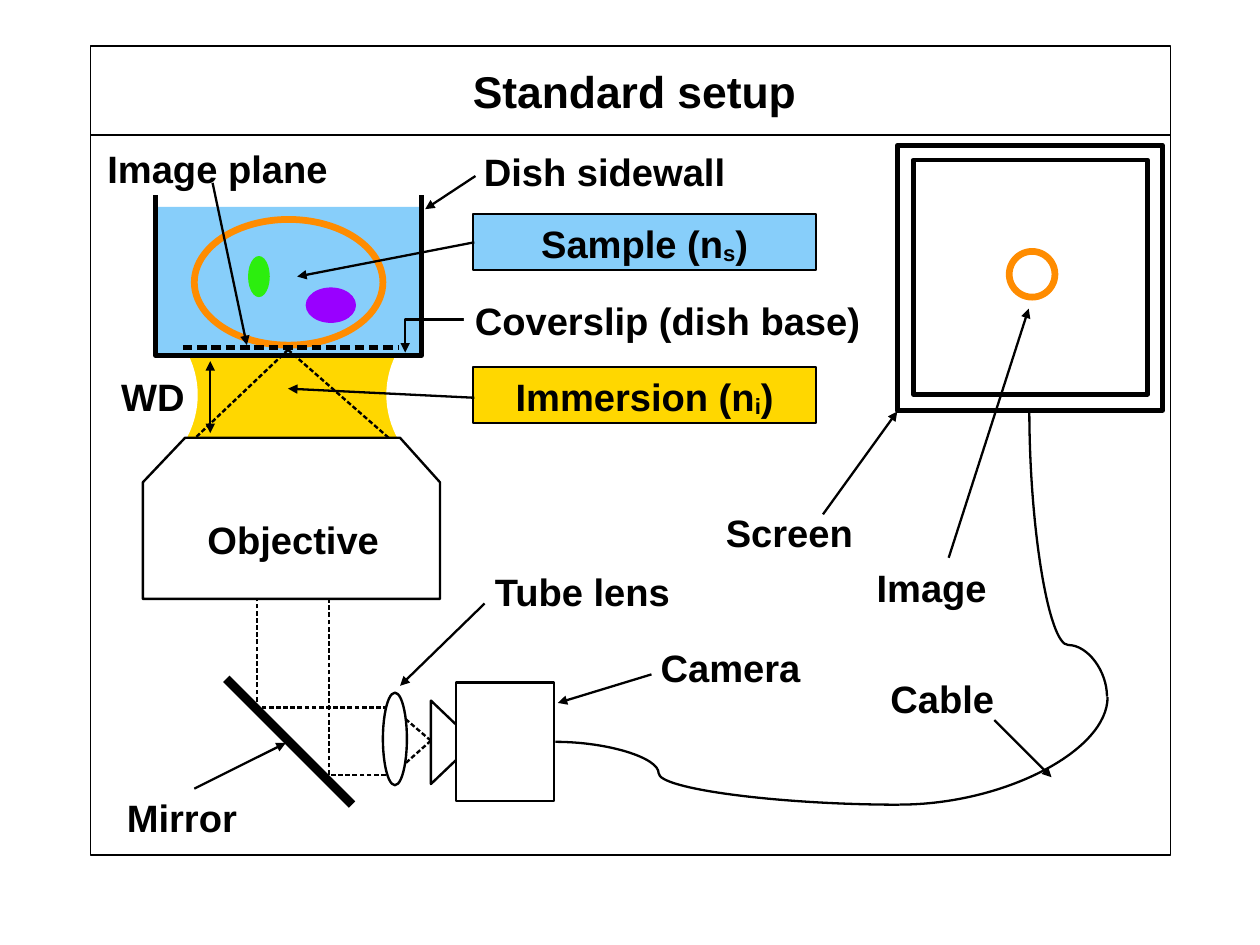
from lxml import etree
from pptx import Presentation
from pptx import util as u
from pptx.dml.color import RGBColor
from pptx.enum import shapes, text
from pptx.oxml.ns import qn

# One grid column or row is one inch; positions are (column, row).
SLIDE_WIDTH_CM, SLIDE_HEIGHT_CM = 28, 21
FONT, LABEL_SIZE, TITLE_SIZE = "Arial", 24, 28
THIN, NORMAL, DISH_WALL, SCREEN_EDGE, CELL_EDGE, MIRROR_BAR = 1.45, 1.5, 2.89, 3, 4.25, 5.67
COLORS = {"ink": "000000", "paper": "FFFFFF", "water": "87CEFA", "oil": "FFD700",
          "cell": "FF8C00", "green": "2CEE0E", "violet": "9900FF"}
KIND = shapes.MSO_SHAPE
RECT, OVAL = KIND.RECTANGLE, KIND.OVAL

# Preset, (left, top, width, height), fill, line colour, line width
IMMERSION = [
    (RECT, (1.64, 2.95, 1.86, 0.95), "oil", None, 0),
    (OVAL, (0.11, 2.66, 1.62, 1.59), "paper", None, 0),
    (OVAL, (3.38, 2.66, 1.62, 1.59), "paper", None, 0),
    (RECT, (1.36, 1.81, 2.32, 1.28), "water", None, 0),
]
FRAME_AND_SCREEN = [
    (RECT, (0.79, 0.4, 9.45, 7.08), None, "ink", 0.99),
    (RECT, (7.99, 1.4, 2.05, 2.05), None, "ink", 2.83),
    (RECT, (7.85, 1.27, 2.32, 2.32), None, "ink", SCREEN_EDGE),
    (OVAL, (8.83, 2.2, 0.4, 0.4), None, "cell", CELL_EDGE),
]
SAMPLE_CELL = [
    (OVAL, (2.17, 2.24, 0.19, 0.36), "green", None, 0),
    (OVAL, (1.7, 1.92, 1.65, 1.1), None, "cell", CELL_EDGE),
    (OVAL, (2.68, 2.52, 0.43, 0.3), "violet", "violet", 0),
]
CAMERA_BODY = (RECT, (3.99, 5.97, 0.86, 1.04), None, "ink", NORMAL)
TUBE_LENS = (OVAL, (3.35, 6.06, 0.21, 0.81), "paper", "ink", NORMAL)
COVERSLIP_MASK = (RECT, (4.06, 2.46, 0.3, 0.48), "paper", None, 0)

# Corner points
DISH = [(1.36, 1.71), (1.36, 3.11), (3.69, 3.11), (3.69, 1.71)]
OBJECTIVE = [(1.62, 3.83), (3.5, 3.83), (3.85, 4.22), (3.85, 5.24), (1.25, 5.24), (1.25, 4.22)]
CAMERA_CONE = [(3.99, 6.34), (3.77, 6.13), (3.77, 6.86), (3.99, 6.65)]

# Start, end
TITLE_RULE = ((0.79, 1.18), (10.24, 1.18))
MIRROR = ((1.98, 5.94), (3.08, 7.04))
IMAGE_PLANE = ((1.6, 3.04), (3.48, 3.04))
FOCUS, SENSOR = (2.52, 3.06), (3.77, 6.48)
LOWER_RAYS = [((3.5, 6.78), (2.88, 6.78)), ((3.52, 6.19), (2.21, 6.19)),
              ((2.25, 6.2), (2.25, 4.55)), ((2.88, 6.84), (2.88, 4.55))]
UPPER_RAYS = [(FOCUS, (1.71, 3.83)), (FOCUS, (3.4, 3.83)),
              (SENSOR, (3.5, 6.72)), (SENSOR, (3.5, 6.25))]
WORKING_DISTANCE = ((1.84, 3.16), (1.84, 3.79))
POINTERS = [
    ((4.15, 2.12), (2.6, 2.42)), ((4.15, 3.48), (2.52, 3.4)), ((1.86, 1.6), (2.16, 3.02)),
    ((7.2, 4.5), (7.85, 3.6)), ((8.3, 4.88), (9, 2.7)), ((1.7, 6.9), (2.5, 6.5)),
    ((4.24, 5.28), (3.5, 6)), ((5.7, 5.9), (4.88, 6.15)), ((8.7, 6.3), (9.2, 6.8)),
    ((4.16, 1.54), (3.72, 1.83)),
]

# Start, end before turning, preset, turn in degrees, share of the bend
CABLE = [
    ((4.86, 6.49), (7.87, 7.04), "curvedConnector3", 0, 0.3),
    ((8.09, 5.18), (10.6, 4.5), "curvedConnector3", 270, 0.18),
    ((7.87, 7.04), (9.69, 6.1), "curvedConnector2", 0, None),
]
COVERSLIP_POINTER = ((3.52, 2.51), (4.12, 3.06), "bentConnector3", 90, 0.52)

# Text, (left, top, width, height), centred
LABELS = [
    ("Objective", (0.89, 4.46, 3.35, 0.84), True),
    ("Tube lens", (4.22, 4.91, 2.16, 0.49), False),
    ("Image plane", (0.83, 1.21, 2.17, 0.49), False),
    ("Screen", (6.24, 4.4, 1.4, 0.49), False),
    ("Image", (7.56, 4.88, 1.26, 0.5), False),
    ("Mirror", (1, 6.89, 1.26, 0.5), False),
    ("Camera", (5.67, 5.58, 2.16, 0.49), False),
    ("Cable", (7.68, 5.85, 1.32, 0.49), False),
    ("Dish sidewall", (4.06, 1.24, 2.46, 0.49), True),
    ("Coverslip (dish base)", (4.02, 2.54, 3.64, 0.56), True),
    ("WD", (0.95, 3.21, 0.96, 0.49), False),
]
TITLE = ("Standard setup", (1.4, 0.5, 8.3, 0.84), True)
# Name, index of n, row, fill
MEDIA_KEYS = [("Sample", "s", 1.87, "water"), ("Immersion", "i", 3.21, "oil")]

deck = Presentation()
deck.slide_width, deck.slide_height = u.Cm(SLIDE_WIDTH_CM), u.Cm(SLIDE_HEIGHT_CM)
canvas = deck.slides.add_slide(deck.slide_layouts[6]).shapes


def grid(*cells):
    """Turn grid positions into slide lengths."""
    return [u.Inches(cell) for cell in cells]


def color(name):
    """Look up a named colour."""
    return RGBColor.from_string(COLORS[name])


def paint(part, fill, edge, width):
    """Give an outline its fill and line, without a shadow."""
    part.shadow.inherit = False
    if fill:
        part.fill.solid()
        part.fill.fore_color.rgb = color(fill)
    else:
        part.fill.background()
    if edge:
        part.line.color.rgb = color(edge)
        part.line.width = u.Pt(width)
    else:
        part.line.fill.background()
    return part


def add_part(preset, place, fill, edge, width):
    """Draw one preset shape."""
    return paint(canvas.add_shape(preset, *grid(*place)), fill, edge, width)


def add_outline(points, fill, width, close):
    """Draw a shape through its corner points."""
    builder = canvas.build_freeform(*grid(*points[0]), scale=1.0)
    builder.add_line_segments([grid(*point) for point in points[1:]], close=close)
    return paint(builder.convert_to_shape(), fill, "ink", width)


def add_line(start, end, width=NORMAL, dashed=False, heads=(),
             kind=shapes.MSO_CONNECTOR.STRAIGHT):
    """Draw a line, with arrowheads at the ends named in heads."""
    line = canvas.add_connector(kind, *grid(*start, *end))
    line.line.color.rgb = color("ink")
    line.line.width = u.Pt(width)
    stroke = line.line._get_or_add_ln()
    if dashed:
        dashes = etree.SubElement(stroke, qn("a:custDash"))
        etree.SubElement(dashes, qn("a:ds"), d="200000", sp="100000")
    for head in heads:
        etree.SubElement(stroke, qn("a:" + head), type="triangle")
    etree.SubElement(line._element.spPr, qn("a:effectLst"))
    return line


def add_bend(start, end, preset, turn, share, heads=()):
    """Draw a curved or bent connector, turned about its middle."""
    bend = add_line(start, end, THIN, heads=heads, kind=shapes.MSO_CONNECTOR.CURVE)
    properties = bend._element.spPr
    properties.find(qn("a:xfrm")).set("rot", str(turn * 60000))
    geometry = properties.find(qn("a:prstGeom"))
    geometry.set("prst", preset)
    if share is not None:
        etree.SubElement(geometry.find(qn("a:avLst")), qn("a:gd"),
                         name="adj1", fmla=f"val {round(share * 100000)}")


def write(part, pieces, size, centred):
    """Write bold text pieces; every second piece is a subscript."""
    frame = part.text_frame
    frame.word_wrap = True
    frame.vertical_anchor = text.MSO_ANCHOR.TOP
    frame.margin_left = frame.margin_right = u.Inches(0.11)
    frame.margin_top = frame.margin_bottom = u.Inches(0.06)
    line = frame.paragraphs[0]
    line.alignment = text.PP_ALIGN.CENTER if centred else text.PP_ALIGN.LEFT
    for index, piece in enumerate(pieces):
        run = line.add_run()
        run.text = piece
        run.font.name, run.font.size, run.font.bold = FONT, u.Pt(size), True
        run.font.color.rgb = color("ink")
        if index % 2:
            run.font._element.set("baseline", "-8000")


def add_label(words, place, centred, size=LABEL_SIZE):
    """Place one text label."""
    write(canvas.add_textbox(*grid(*place)), [words], size, centred)


for part in IMMERSION:
    add_part(*part)
add_outline(DISH, None, DISH_WALL, False)
for ray in LOWER_RAYS:
    add_line(*ray, dashed=True)
for part in FRAME_AND_SCREEN:
    add_part(*part)
add_line(*MIRROR, MIRROR_BAR)
add_line(*TITLE_RULE)
for part in SAMPLE_CELL:
    add_part(*part)
add_outline(OBJECTIVE, "paper", NORMAL, True)
add_part(*CAMERA_BODY)
add_outline(CAMERA_CONE, None, NORMAL, False)
for ray in UPPER_RAYS:
    add_line(*ray, dashed=True)
add_line(*IMAGE_PLANE, SCREEN_EDGE, dashed=True)
add_part(*TUBE_LENS)
for stretch in CABLE:
    add_bend(*stretch)
for medium, index, row, fill in MEDIA_KEYS:
    key = add_part(RECT, (4.14, row, 3, 0.49), fill, "ink", THIN)
    write(key, [medium + " (n", index, ")"], LABEL_SIZE, True)
for pointer in POINTERS:
    add_line(*pointer, THIN, heads=["tailEnd"])
add_bend(*COVERSLIP_POINTER, heads=["tailEnd"])
add_part(*COVERSLIP_MASK)
add_line(*WORKING_DISTANCE, THIN, heads=["headEnd", "tailEnd"])
add_label(*TITLE, TITLE_SIZE)
for label in LABELS:
    add_label(*label)
deck.save("out.pptx")
